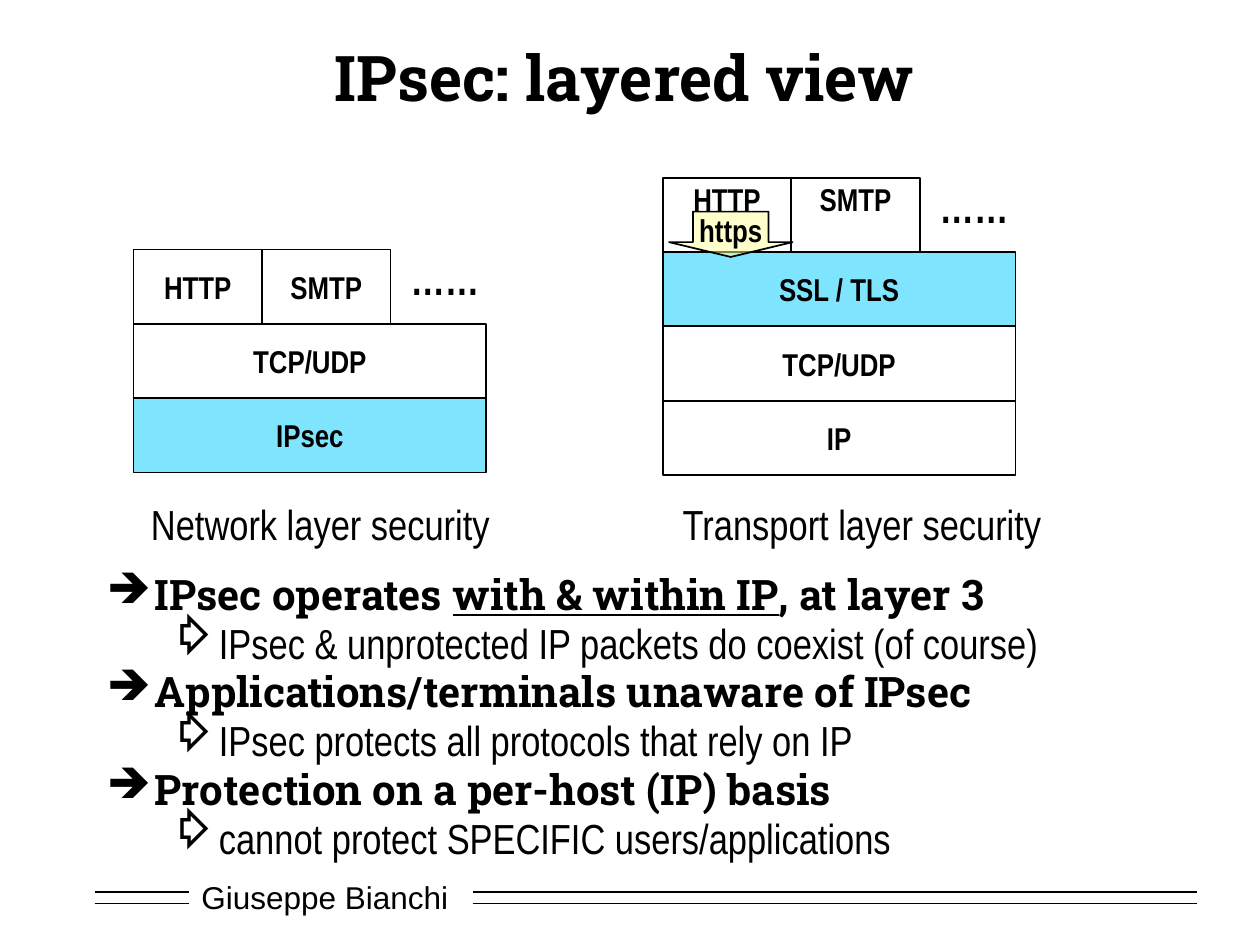
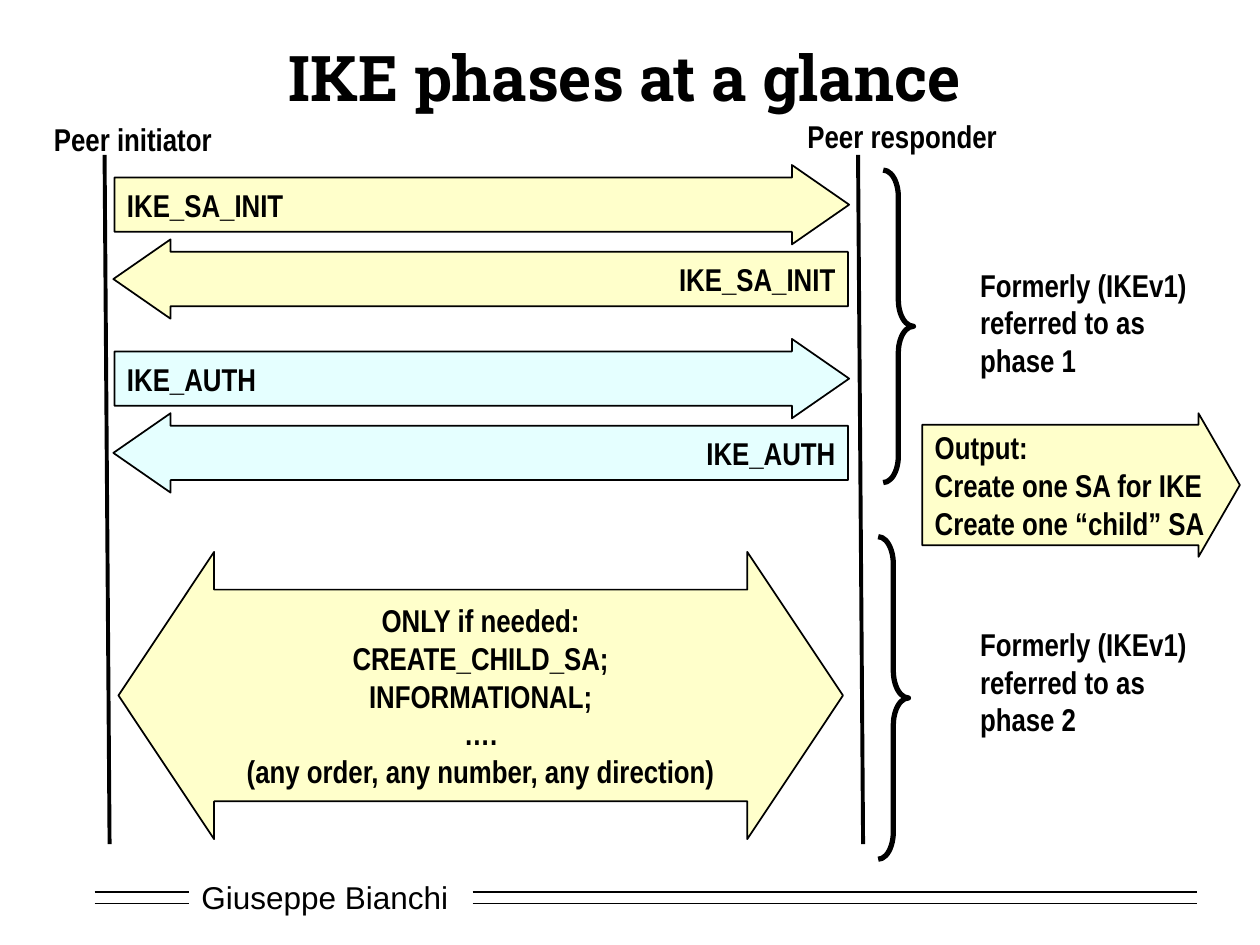
from dataclasses import dataclass

from lxml import etree
from pptx import Presentation
from pptx.dml.color import RGBColor
from pptx.enum.shapes import MSO_CONNECTOR as CONN, MSO_SHAPE as SHAPE
from pptx.enum.text import MSO_ANCHOR as ANCHOR, MSO_AUTO_SIZE as AUTO, PP_ALIGN as ALIGN
from pptx.oxml.ns import qn
from pptx.util import Inches, Pt


@dataclass(frozen=True)
class Theme:
    ink: str = "000000"
    paper: str = "FFFFFF"
    secure: str = "00CCFF"
    note: str = "FFFF99"
    auth: str = "CCFFFF"
    heading_font: str = "Roboto Slab"
    text_font: str = "Arial Narrow"
    footer_font: str = "Arial"
    title_size: int = 36
    body_size: int = 24
    label_size: int = 18
    thin: float = 1
    lifeline: float = 2.25
    brace: float = 3


THEME = Theme()
LAYER_HEIGHT = 0.59
STACK_WIDTH = 2.8
APP_WIDTH = 1.02


def box(*lengths):
    return [Inches(v) for v in lengths]


def style_runs(p, size, font, bold):
    for r in p.runs:
        r.font.size = Pt(size)
        r.font.name = font
        r.font.bold = bold
        r.font.color.rgb = RGBColor.from_string(THEME.ink)


def write(tf, text, size=THEME.label_size, font=THEME.text_font, bold=True,
          align=ALIGN.LEFT, anchor=ANCHOR.MIDDLE):
    tf.text = text
    tf.word_wrap = False
    tf.vertical_anchor = anchor
    for p in tf.paragraphs:
        p.alignment = align
        style_runs(p, size, font, bold)


def add_line(s, x1, y1, x2, y2, width=THEME.thin):
    line = s.shapes.add_connector(CONN.STRAIGHT, *box(x1, y1, x2, y2))
    line.line.color.rgb = RGBColor.from_string(THEME.ink)
    line.line.width = Pt(width)
    etree.SubElement(line._element.spPr, qn("a:effectLst"))


def add_figure(s, kind, at, fill=None, text="", adj=(), align=ALIGN.CENTER,
               width=THEME.thin, anchor=ANCHOR.MIDDLE):
    sp = s.shapes.add_shape(kind, *box(*at))
    sp.shadow.inherit = False
    for i, value in enumerate(adj):
        sp.adjustments[i] = value
    if fill:
        sp.fill.solid()
        sp.fill.fore_color.rgb = RGBColor.from_string(fill)
        color = sp._element.spPr.find(qn("a:solidFill"))[0]
        etree.SubElement(color, qn("a:alpha"), val="50000")
    else:
        sp.fill.background()
    sp.line.color.rgb = RGBColor.from_string(THEME.ink)
    sp.line.width = Pt(width)
    if text:
        write(sp.text_frame, text, align=align, anchor=anchor)
    return sp


def add_label(s, at, text, size=THEME.label_size, bold=True):
    tf = s.shapes.add_textbox(*box(*at)).text_frame
    write(tf, text, size, bold=bold, anchor=ANCHOR.TOP)
    tf.auto_size = AUTO.SHAPE_TO_FIT_TEXT


def add_footer(s):
    sp = s.shapes.add_textbox(*box(1.5, 6.92, 2.17, 0.4))
    sp.fill.solid()
    sp.fill.fore_color.rgb = RGBColor.from_string(THEME.paper)
    write(sp.text_frame, "Giuseppe Bianchi", font=THEME.footer_font, bold=False)
    for y in (7.08, 7.17):
        for x1, x2 in ((0.75, 1.5), (3.75, 9.5)):
            add_line(s, x1, y, x2, y)


def add_slide(prs, title):
    s = prs.slides.add_slide(prs.slide_layouts[5])
    sp = s.shapes.title
    sp.left, sp.top, sp.width, sp.height = box(0.75, 0.25, 8.42, 0.71)
    write(sp.text_frame, title, THEME.title_size, THEME.heading_font, align=ALIGN.CENTER)
    sp.text_frame.word_wrap = True
    sp.text_frame.auto_size = AUTO.NONE
    add_footer(s)
    return s


def add_stack(s, left, top, layers, secure_layer, app_anchor=ANCHOR.MIDDLE):
    for i, app in enumerate(("HTTP", "SMTP")):
        sp = add_figure(s, SHAPE.RECTANGLE,
                        (left + i * APP_WIDTH, top, APP_WIDTH, LAYER_HEIGHT),
                        text=app, anchor=app_anchor)
        sp.text_frame.margin_top = Inches(0.02)
        sp.text_frame.margin_bottom = Inches(0.02)
    add_label(s, (left + 2.1, top - 0.02, 0.75, 0.5), "……", THEME.body_size)
    for i, layer in enumerate(layers, 1):
        add_figure(s, SHAPE.RECTANGLE,
                   (left, top + i * LAYER_HEIGHT, STACK_WIDTH, LAYER_HEIGHT),
                   THEME.secure if layer == secure_layer else None, layer)


def add_bullet(p, char, margin, hang):
    pPr = p._p.get_or_add_pPr()
    pPr.set("marL", str(Inches(margin)))
    pPr.set("indent", str(-Inches(hang)))
    color = etree.SubElement(pPr, qn("a:buClr"))
    etree.SubElement(color, qn("a:srgbClr"), val=THEME.ink)
    etree.SubElement(pPr, qn("a:buChar"), char=char)


def add_points(s, at, points):
    tf = s.shapes.add_textbox(*box(*at)).text_frame
    tf.word_wrap = True
    rows = [(level, parts) for point in points for level, parts in enumerate(point)]
    for i, (level, parts) in enumerate(rows):
        p = tf.add_paragraph() if i else tf.paragraphs[0]
        p.level = level
        p.line_spacing = 0.8
        p.space_before = Pt(0.2 * THEME.body_size)
        add_bullet(p, *(("➔", 0.38, 0.38), ("⇨", 0.81, 0.31))[level])
        for j, part in enumerate(parts):
            r = p.add_run()
            r.text = part
            r.font.underline = j == 1
        style_runs(p, THEME.body_size,
                   THEME.text_font if level else THEME.heading_font, level == 0)


def add_exchange(s, top, message, fill):
    adj = (0.685, 0.721)
    add_figure(s, SHAPE.RIGHT_ARROW, (0.91, top, 5.83, 0.63), fill, message, adj, ALIGN.LEFT)
    add_figure(s, SHAPE.LEFT_ARROW, (0.9, top + 0.59, 5.83, 0.63), fill, message, adj,
               ALIGN.RIGHT)


def add_phase(s, number, brace_at, curve, label_top):
    add_figure(s, SHAPE.RIGHT_BRACE, brace_at, adj=(curve, 0.5), width=THEME.brace)
    add_label(s, (7.68, label_top, 1.84, 1),
              f"Formerly (IKEv1)\vreferred to as \vphase {number}")


def build_layered_view(prs):
    s = add_slide(prs, "IPsec: layered view")
    add_stack(s, 1.06, 1.98, ("TCP/UDP", "IPsec"), "IPsec")
    add_stack(s, 5.26, 1.41, ("SSL / TLS", "TCP/UDP", "IP"), "SSL / TLS", ANCHOR.TOP)
    add_figure(s, SHAPE.DOWN_ARROW, (5.31, 1.68, 0.98, 0.36), THEME.note, "https",
               (0.612, 0.327))
    add_label(s, (1.1, 3.91, 2.9, 0.5), "Network layer security", THEME.body_size, False)
    add_label(s, (5.32, 3.91, 3.06, 0.5), "Transport layer security", THEME.body_size, False)
    add_points(s, (0.75, 4.54, 8.42, 2.44), (
        (("IPsec operates ", "with & within IP", ", at layer 3"),
         ("IPsec & unprotected IP packets do coexist (of course)",)),
        (("Applications/terminals unaware of IPsec",),
         ("IPsec protects all protocols that rely on IP",)),
        (("Protection on a per-host (IP) basis",),
         ("cannot protect SPECIFIC users/applications",)),
    ))


def build_ike_phases(prs):
    s = add_slide(prs, "IKE phases at a glance")
    for x in (0.83, 6.81):
        add_line(s, x, 1.23, x + 0.04, 6.7, THEME.lifeline)
    add_exchange(s, 1.31, "IKE_SA_INIT", THEME.note)
    add_exchange(s, 2.69, "IKE_AUTH", THEME.auth)
    add_figure(s, SHAPE.LEFT_RIGHT_ARROW, (0.94, 4.38, 5.75, 2.28), THEME.note,
               "ONLY if needed:\nCREATE_CHILD_SA;\nINFORMATIONAL;\n….\n"
               "(any order, any number, any direction)", (0.737, 0.333))
    add_phase(s, 1, (7.01, 1.35, 0.24, 2.48), 0.875, 2.06)
    add_phase(s, 2, (6.97, 4.26, 0.24, 2.56), 0.903, 4.91)
    add_label(s, (0.33, 0.9, 1.46, 0.4), "Peer initiator")
    add_label(s, (6.31, 0.88, 1.71, 0.4), "Peer responder")
    add_figure(s, SHAPE.RIGHT_ARROW, (7.32, 3.28, 2.52, 1.14), THEME.note,
               "Output:\nCreate one SA for IKE\nCreate one “child” SA",
               (0.839, 0.288), ALIGN.LEFT)


def main():
    prs = Presentation()
    prs.slide_width, prs.slide_height = box(10, 7.5)
    build_layered_view(prs)
    build_ike_phases(prs)
    prs.save("out.pptx")


if __name__ == "__main__":
    main()
